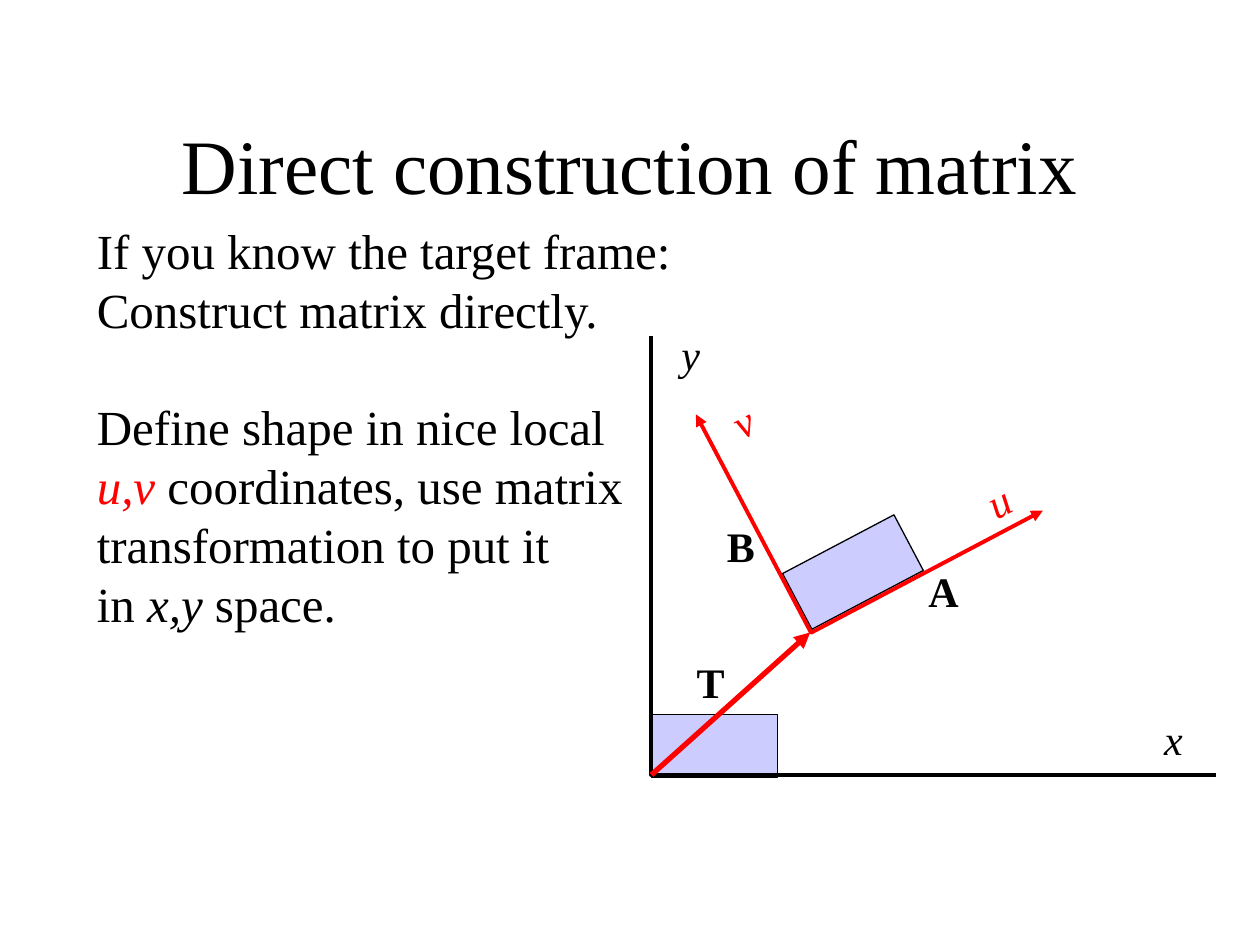
from lxml import etree
from pptx import Presentation, util as u
from pptx.dml.color import RGBColor
from pptx.enum import shapes, text
from pptx.oxml.ns import qn

FONT = "Times New Roman"
BLACK, RED, LILAC = "000000", "FF0000", "CCCCFF"
ORIGIN = (5.17, 6.15)
TILT = 332.2  # rotation of the u,v frame in degrees


def color(hex_value):
    return RGBColor.from_string(hex_value)


def inches(values):
    return tuple(u.Inches(value) for value in values)


def set_line(shape, hex_value, width, arrows=()):
    shape.line.color.rgb = color(hex_value)
    shape.line.width = u.Pt(width)
    for end in arrows:
        etree.SubElement(shape.line._get_or_add_ln(), qn(f"a:{end}"), type="triangle")


def add_block(slide, left, top, rotation=0):
    block = slide.shapes.add_shape(shapes.MSO_SHAPE.RECTANGLE, *inches((left, top, 1, 0.5)))
    block.shadow.inherit = False
    block.rotation = rotation
    block.fill.solid()
    block.fill.fore_color.rgb = color(LILAC)
    set_line(block, BLACK, 0.75)


def add_axes(slide, corner, width, height, hex_value, rotation=0, arrows=()):
    """Open L: down from the top end to the corner, then right."""
    x, y = corner
    top_end, *others = [inches(point) for point in ((x, y - height), (x, y), (x + width, y))]
    builder = slide.shapes.build_freeform(*top_end)
    builder.add_line_segments(others, close=False)
    axes = builder.convert_to_shape()
    axes.shadow.inherit = False
    axes.fill.background()
    axes.rotation = rotation
    set_line(axes, hex_value, 2.25, arrows)


def add_vector(slide, start, end):
    vector = slide.shapes.add_connector(shapes.MSO_CONNECTOR.STRAIGHT, *inches(start + end))
    set_line(vector, RED, 3, ["tailEnd"])
    etree.SubElement(vector._element.spPr, qn("a:effectLst"))


def add_text(slide, box, paragraphs, size, rotation=0, **frame_format):
    """Each paragraph is a list of (words, hex colour, font format) runs."""
    holder = slide.shapes.add_textbox(*inches(box))
    holder.rotation = rotation
    frame = holder.text_frame
    settings = {"word_wrap": False, "auto_size": text.MSO_AUTO_SIZE.SHAPE_TO_FIT_TEXT}
    for name, value in (settings | frame_format).items():
        setattr(frame, name, value)
    for index, runs in enumerate(paragraphs):
        paragraph = frame.add_paragraph() if index else frame.paragraphs[0]
        for words, hex_value, style in runs:
            run = paragraph.add_run()
            run.text = words
            run.font.color.rgb = color(hex_value)
            for name, value in ({"name": FONT, "size": u.Pt(size)} | style).items():
                setattr(run.font, name, value)
    return frame


def main():
    deck = Presentation()
    deck.slide_width, deck.slide_height = inches((10, 7.5))
    slide = deck.slides.add_slide(deck.slide_layouts[6])
    plain, italic, bold = {}, {"italic": True}, {"bold": True}

    # Shape in the target frame and in the local frame
    add_block(slide, 6.27, 4.29, TILT)
    add_block(slide, 5.17, 5.67)

    # Title
    title = add_text(slide, (0.75, 0.67, 8.5, 1.25),
                     [[("Direct construction of matrix", BLACK, plain)]], 44,
                     word_wrap=True, auto_size=text.MSO_AUTO_SIZE.NONE,
                     vertical_anchor=text.MSO_ANCHOR.MIDDLE)
    title.paragraphs[0].alignment = text.PP_ALIGN.CENTER

    # x,y axes, tilted u,v axes and the translation between them
    add_axes(slide, ORIGIN, 4.48, 3.48, BLACK)
    add_axes(slide, (5.86, 4.65), 2.08, 1.96, RED, TILT, ["headEnd", "tailEnd"])
    add_vector(slide, ORIGIN, (6.43, 5.02))

    # Axis and vector labels
    labels = [
        ("x", 9.14, 5.61, 0.35, BLACK, italic, 0),
        ("y", 5.31, 2.56, 0.35, BLACK, italic, 0),
        ("v", 5.72, 3.09, 0.35, RED, italic, TILT),
        ("u", 7.74, 3.72, 0.37, RED, italic, TILT),
        ("A", 7.27, 4.44, 0.44, BLACK, bold, 0),
        ("B", 5.67, 4.08, 0.42, BLACK, bold, 0),
        ("T", 5.43, 5.16, 0.42, BLACK, bold, 0),
    ]
    for letter, left, top, width, hex_value, style, rotation in labels:
        add_text(slide, (left, top, width, 0.5), [[(letter, hex_value, style)]], 24, rotation)

    # Explanation, with a line's gap before its second part
    explanation = add_text(slide, (0.67, 1.7, 4.95, 3.4), [
        [("If you know the target frame:", BLACK, plain)],
        [("Construct matrix directly.", BLACK, plain)],
        [("Define shape in nice local", BLACK, plain)],
        [("u,v ", RED, italic), ("coordinates, use matrix", BLACK, plain)],
        [("transformation to put it", BLACK, plain)],
        [("in ", BLACK, plain), ("x,y", BLACK, italic), (" space.", BLACK, plain)],
    ], 28)
    explanation.paragraphs[2].space_before = u.Pt(33.6)

    deck.save("out.pptx")


if __name__ == "__main__":
    main()
